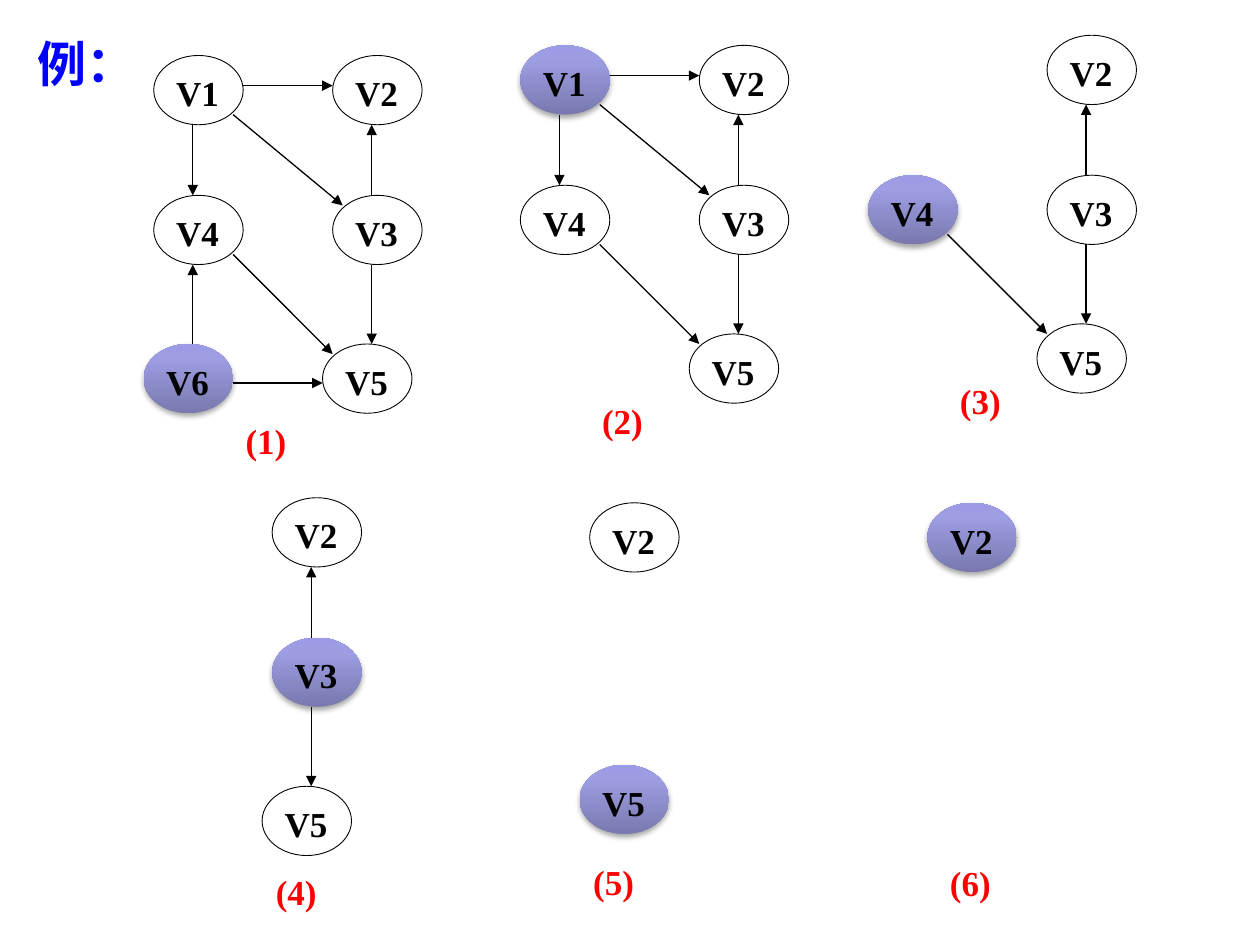
from copy import deepcopy

from lxml import etree
from pptx import Presentation
from pptx.dml.color import RGBColor
from pptx.enum.shapes import MSO_CONNECTOR, MSO_SHAPE
from pptx.enum.text import MSO_ANCHOR, MSO_AUTO_SIZE
from pptx.oxml import parse_xml
from pptx.oxml.ns import qn
from pptx.util import Inches, Pt

OVAL = MSO_SHAPE.OVAL
STRAIGHT = MSO_CONNECTOR.STRAIGHT
GROW = MSO_AUTO_SIZE.SHAPE_TO_FIT_TEXT
MIDDLE = MSO_ANCHOR.MIDDLE

HEADING = "例："
VERTICES = {
    "V1": (0, 0),
    "V2": (1.42, 0),
    "V4": (0, 1.11),
    "V3": (1.42, 1.11),
    "V6": (-0.08, 2.29),
    "V5": (1.34, 2.29),
}
EDGES = {
    ("V1", "V2"): ((0.71, 0.24), (1.42, 0.24)),
    ("V1", "V4"): ((0.31, 0.55), (0.31, 1.11)),
    ("V3", "V2"): ((1.73, 1.11), (1.73, 0.55)),
    ("V1", "V3"): ((0.63, 0.47), (1.5, 1.19)),
    ("V6", "V4"): ((0.31, 2.29), (0.31, 1.66)),
    ("V6", "V5"): ((0.63, 2.6), (1.34, 2.6)),
    ("V3", "V5"): ((1.73, 1.66), (1.73, 2.29)),
    ("V4", "V5"): ((0.63, 1.58), (1.42, 2.37)),
}
REMOVAL_ORDER = ["V6", "V1", "V4", "V3", "V5", "V2"]
STEPS = [
    {"origin": (1.22, 0.44), "caption": (1.85, 3.28)},
    {"origin": (4.13, 0.36), "caption": (4.68, 3.12)},
    {"origin": (6.89, 0.28), "caption": (7.52, 2.96)},
    {"origin": (0.74, 3.95), "caption": (2.09, 6.86)},
    {"origin": (3.26, 3.99), "caption": (4.61, 6.78), "moved": {"V5": (1.34, 2.08)}},
    {"origin": (5.94, 3.99), "caption": (7.44, 6.79)},
]

THEME = {
    "ink": "000000",
    "gradient": [(0, "7979AF"), (0.8, "9D9DE3"), (1, "9C9CE6")],
    "outline": 0.5,
    "edge": 0.75,
    "vertex": {"name": "Times New Roman", "size": Pt(20), "bold": True, "color": "000000"},
    "caption": {"name": "Times New Roman", "size": Pt(20), "bold": True, "color": "FF0000"},
    "heading": {"name": "Arial", "size": Pt(28), "bold": True, "color": "0000FF"},
}
VERTEX_SIZE = (0.71, 0.55)
NAME_SIZE = (0.55, 0.43)
CAPTION_SIZE = (0.71, 0.43)
NAME_INSET = 0.08
SHADOW = (
    '<a:outerShdw xmlns:a="http://schemas.openxmlformats.org/drawingml/2006/main" '
    'blurRad="40000" dist="23000" dir="5400000" rotWithShape="0">'
    '<a:srgbClr val="000000"><a:alpha val="35000"/></a:srgbClr></a:outerShdw>'
)


def inches(*lengths):
    return [Inches(length) for length in lengths]


def shifted(origin, offset):
    return origin[0] + offset[0], origin[1] + offset[1]


def add_text(shapes, words, place, size, style, frame_format):
    frame = shapes.add_textbox(*inches(*place, *size)).text_frame
    for attribute, value in frame_format.items():
        setattr(frame, attribute, value)
    run = frame.paragraphs[0].add_run()
    run.text = words
    for attribute in ("name", "size", "bold"):
        setattr(run.font, attribute, style[attribute])
    run.font.color.rgb = RGBColor.from_string(style["color"])


def highlight(oval):
    oval.line.fill.background()
    oval.fill.gradient()
    oval.fill.gradient_angle = 90
    properties = oval._element.spPr
    stop_list = properties.find(qn("a:gradFill")).find(qn("a:gsLst"))
    stop_list.append(deepcopy(stop_list[-1]))
    for stop, (position, color) in zip(oval.fill.gradient_stops, THEME["gradient"]):
        stop.position = position
        stop.color.rgb = RGBColor.from_string(color)
    properties.find(qn("a:effectLst")).append(parse_xml(SHADOW))


def add_vertex(shapes, name, place, removed):
    oval = shapes.add_shape(OVAL, *inches(*place, *VERTEX_SIZE))
    oval.shadow.inherit = False
    if removed:
        highlight(oval)
    else:
        oval.fill.background()
        oval.line.color.rgb = RGBColor.from_string(THEME["ink"])
        oval.line.width = Pt(THEME["outline"])
    name_place = shifted(place, (NAME_INSET, NAME_INSET))
    add_text(shapes, name, name_place, NAME_SIZE, THEME["vertex"],
             {"word_wrap": True, "auto_size": GROW})


def add_edge(shapes, start, end):
    edge = shapes.add_connector(STRAIGHT, *inches(*start, *end))
    edge.line.color.rgb = RGBColor.from_string(THEME["ink"])
    edge.line.width = Pt(THEME["edge"])
    etree.SubElement(edge.line._get_or_add_ln(), qn("a:tailEnd"), type="triangle")
    etree.SubElement(edge._element.spPr, qn("a:effectLst"))


def add_step(slide, index, step):
    shapes = slide.shapes.add_group_shape().shapes
    remaining = REMOVAL_ORDER[index:]
    origin = step["origin"]
    offsets = {**VERTICES, **step.get("moved", {})}
    for name, offset in offsets.items():
        if name in remaining:
            add_vertex(shapes, name, shifted(origin, offset), name == remaining[0])
    for ends, (start, end) in EDGES.items():
        if set(ends) <= set(remaining):
            add_edge(shapes, shifted(origin, start), shifted(origin, end))
    add_text(shapes, f"({index + 1})", step["caption"], CAPTION_SIZE, THEME["caption"],
             {"word_wrap": True, "auto_size": GROW})


def main():
    presentation = Presentation()
    presentation.slide_width, presentation.slide_height = inches(10, 7.5)
    slide = presentation.slides.add_slide(presentation.slide_layouts[6])
    for index, step in enumerate(STEPS):
        add_step(slide, index, step)
    add_text(slide.shapes, HEADING, (0.2, 0.21), (1.26, 0.58), THEME["heading"],
             {"word_wrap": True, "vertical_anchor": MIDDLE})
    presentation.save("out.pptx")


if __name__ == "__main__":
    main()
